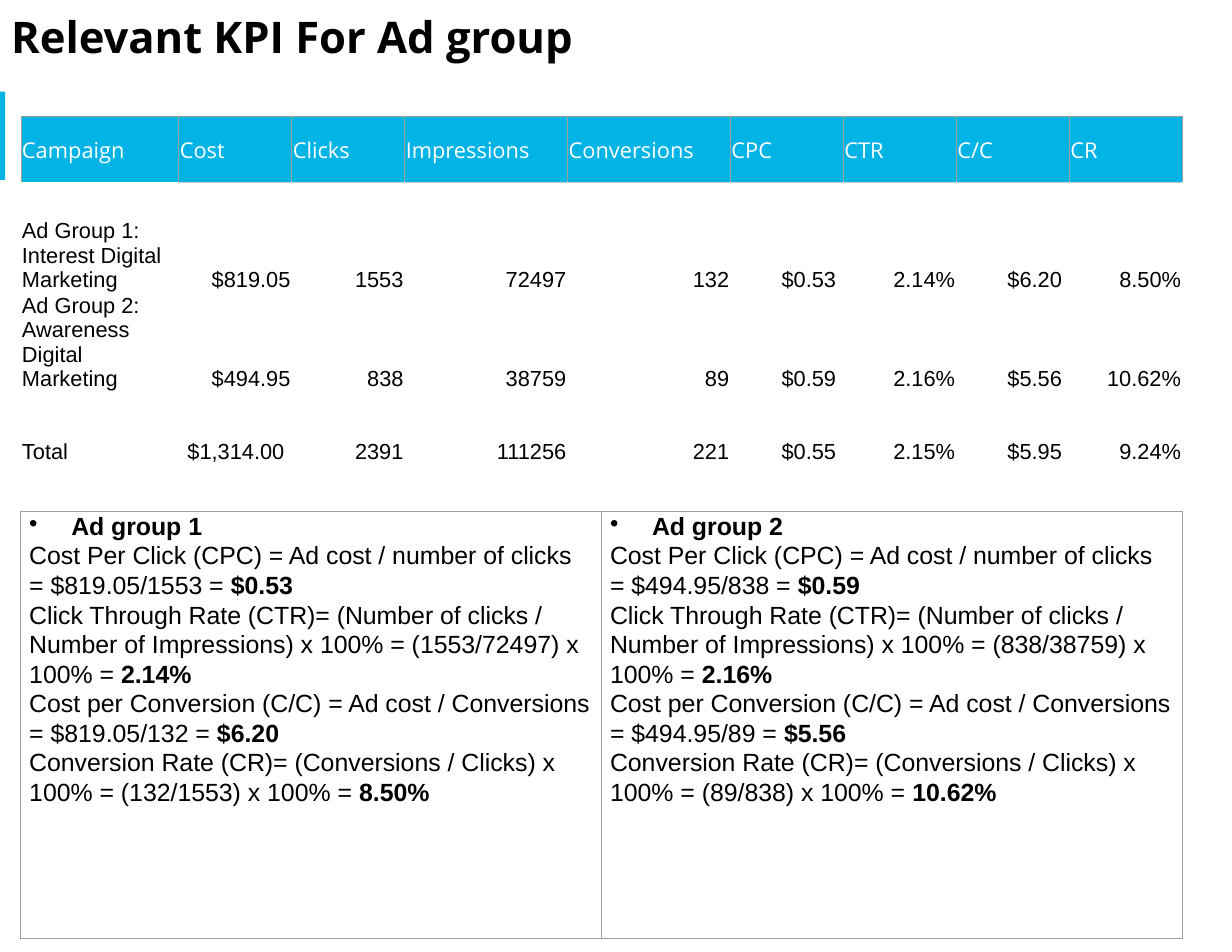
import pptx
import pptx.util
import pptx.dml.color
import pptx.enum.shapes
import pptx.enum.text
import pptx.oxml
import lxml.etree

Pt = pptx.util.Pt
ALIGN = pptx.enum.text.PP_ALIGN
ANCHOR = pptx.enum.text.MSO_ANCHOR


class Theme:
    accent, text, header_text = "02B4E5", "000000", "FFFFFF"
    border, soft_border = "9E9E9E", "CCCCCC"
    heading_font, body_font = "Open Sans", "Arial"
    title_size, table_size, formula_size = 28, 14, 16


def rgb(value):
    return pptx.dml.color.RGBColor.from_string(value)


def set_values(target, values):
    for name, value in values.items():
        setattr(target, name, value)


class SlideBuilder:
    def __init__(self, deck, theme):
        self.theme = theme
        self.slide = deck.slides.add_slide(deck.slide_layouts[5])

    def add_span(self, para, text, size, font, color, bold=False):
        span = para.add_run()
        span.text = text
        set_values(span.font, {"size": Pt(size), "name": font, "bold": bold})
        span.font.color.rgb = rgb(color)

    def title(self, text, left, top, width, height):
        box = self.slide.shapes.title
        set_values(box, {"left": Pt(left), "top": Pt(top),
                         "width": Pt(width), "height": Pt(height)})
        frame = box.text_frame
        set_values(frame, {"word_wrap": True, "vertical_anchor": ANCHOR.MIDDLE,
                           "auto_size": pptx.enum.text.MSO_AUTO_SIZE.NONE,
                           "margin_left": Pt(7.2), "margin_right": Pt(7.2),
                           "margin_top": Pt(7.2), "margin_bottom": Pt(7.2)})
        para = frame.paragraphs[0]
        para.alignment = ALIGN.LEFT
        self.add_span(para, text, self.theme.title_size, self.theme.heading_font,
                      self.theme.text, bold=True)

    def bar(self, left, top, width, height):
        shape = self.slide.shapes.add_shape(
            pptx.enum.shapes.MSO_SHAPE.RECTANGLE,
            Pt(left), Pt(top), Pt(width), Pt(height))
        shape.shadow.inherit = False
        shape.fill.solid()
        shape.fill.fore_color.rgb = rgb(self.theme.accent)
        shape.line.fill.background()

    def table(self, left, top, widths, heights):
        frame = self.slide.shapes.add_table(
            len(heights), len(widths), Pt(left), Pt(top),
            Pt(sum(widths)), Pt(sum(heights)))
        table = frame.table
        set_values(table, {"first_row": False, "horz_banding": False})
        for column, width in zip(table.columns, widths):
            column.width = Pt(width)
        for row, height in zip(table.rows, heights):
            row.height = Pt(height)
        return table

    def format_cell(self, cell, anchor, margins, borders, fill=None):
        sides = ("margin_left", "margin_top", "margin_right", "margin_bottom")
        set_values(cell, dict(zip(sides, map(Pt, margins))))
        cell.vertical_anchor = anchor
        # Borders come before the fill in the cell properties
        properties = cell._tc.get_or_add_tcPr()
        for side in "LRTB":
            if side in borders:
                color, width = borders[side]
                line = lxml.etree.SubElement(
                    properties, pptx.oxml.ns.qn(f"a:ln{side}"), w=str(Pt(width)))
                solid = lxml.etree.SubElement(line, pptx.oxml.ns.qn("a:solidFill"))
                lxml.etree.SubElement(solid, pptx.oxml.ns.qn("a:srgbClr"), val=color)
        if fill:
            cell.fill.solid()
            cell.fill.fore_color.rgb = rgb(fill)
        else:
            cell.fill.background()

    def kpi_table(self, rows, left, top, widths, heights):
        theme = self.theme
        table = self.table(left, top, widths, heights)
        edge, soft = (theme.border, 0.5), (theme.soft_border, 0.5)
        for r, row in enumerate(rows):
            for c, text in enumerate(row):
                header, numeric = r == 0, c > 0
                borders = {}
                if header:
                    borders = dict.fromkeys("LRT", edge)
                if numeric and r < 2:
                    borders["B" if header else "T"] = soft
                cell = table.cell(r, c)
                self.format_cell(cell, ANCHOR.MIDDLE if header else ANCHOR.BOTTOM,
                                 (0.72, 0.72, 0.72, 0), borders,
                                 theme.accent if header else None)
                para = cell.text_frame.paragraphs[0]
                para.alignment = ALIGN.RIGHT if numeric and not header else ALIGN.LEFT
                self.add_span(para, text, theme.table_size,
                              theme.heading_font if header else theme.body_font,
                              theme.header_text if header else theme.text)

    def add_bullet(self, para, indent):
        properties = para._p.get_or_add_pPr()
        properties.set("marL", str(Pt(indent)))
        properties.set("indent", str(-Pt(indent)))
        lxml.etree.SubElement(properties, pptx.oxml.ns.qn("a:buChar"), char="•")

    def formula_table(self, groups, left, top, widths, height):
        theme = self.theme
        table = self.table(left, top, widths, [height])
        for c, (heading, formulas) in enumerate(groups):
            cell = table.cell(0, c)
            self.format_cell(cell, ANCHOR.TOP, (5.4, 0, 5.4, 0),
                             dict.fromkeys("LRTB", (theme.border, 0.75)))
            frame = cell.text_frame
            for i, (formula, result) in enumerate([("", heading)] + formulas):
                para = frame.add_paragraph() if i else frame.paragraphs[0]
                para.line_spacing = 1.07
                if i == 0:
                    self.add_bullet(para, 27)
                for text, bold in ((formula, False), (result, True)):
                    if text:
                        self.add_span(para, text, theme.formula_size,
                                      theme.body_font, theme.text, bold)


KPI_ROWS = [
    ["Campaign", "Cost", "Clicks", "Impressions", "Conversions", "CPC", "CTR", "C/C", "CR"],
    ["Ad Group 1: Interest Digital Marketing", "$819.05", "1553", "72497", "132",
     "$0.53 ", "2.14%", "$6.20 ", "8.50%"],
    ["Ad Group 2: Awareness Digital Marketing", "$494.95", "838", "38759", "89",
     "$0.59 ", "2.16%", "$5.56 ", "10.62%"],
    ["Total", "$1,314.00 ", "2391", "111256", "221",
     "$0.55 ", "2.15%", "$5.95 ", "9.24%"],
]


def formulas_for(row):
    cost, clicks, impressions, conversions, cpc, ctr, cpa, rate = (
        value.strip() for value in row[1:])
    return [
        (f"Cost Per Click (CPC) = Ad cost / number of clicks = {cost}/{clicks} = ", cpc),
        ("Click Through Rate (CTR)= (Number of clicks / Number of Impressions) x 100% = "
         f"({clicks}/{impressions}) x 100% = ", ctr),
        ("Cost per Conversion (C/C) = Ad cost / Conversions = "
         f"{cost}/{conversions} = ", cpa),
        ("Conversion Rate (CR)= (Conversions / Clicks) x 100% = "
         f"({conversions}/{clicks}) x 100% = ", rate),
    ]


def main():
    deck = pptx.Presentation()
    set_values(deck, {"slide_width": Pt(792), "slide_height": Pt(612)})
    page = SlideBuilder(deck, Theme())

    # Heading and accent bar
    page.bar(0, 59, 3.4, 56.7)
    page.title("Relevant KPI For Ad group", 0, 0, 738, 46.8)

    # Figures by ad group
    narrow, wide = 72.65, 104.7
    page.kpi_table(KPI_ROWS, 13.4, 75, [101.5] + [narrow] * 2 + [wide] * 2 + [narrow] * 4,
                   [42.5, 70.5, 55.5, 46.8])

    # Worked formulas
    groups = [(f"Ad group {n}", formulas_for(KPI_ROWS[n])) for n in (1, 2)]
    page.formula_table(groups, 13.4, 328.6, [373.4] * 2, 274.7)

    deck.save("out.pptx")


if __name__ == "__main__":
    main()
